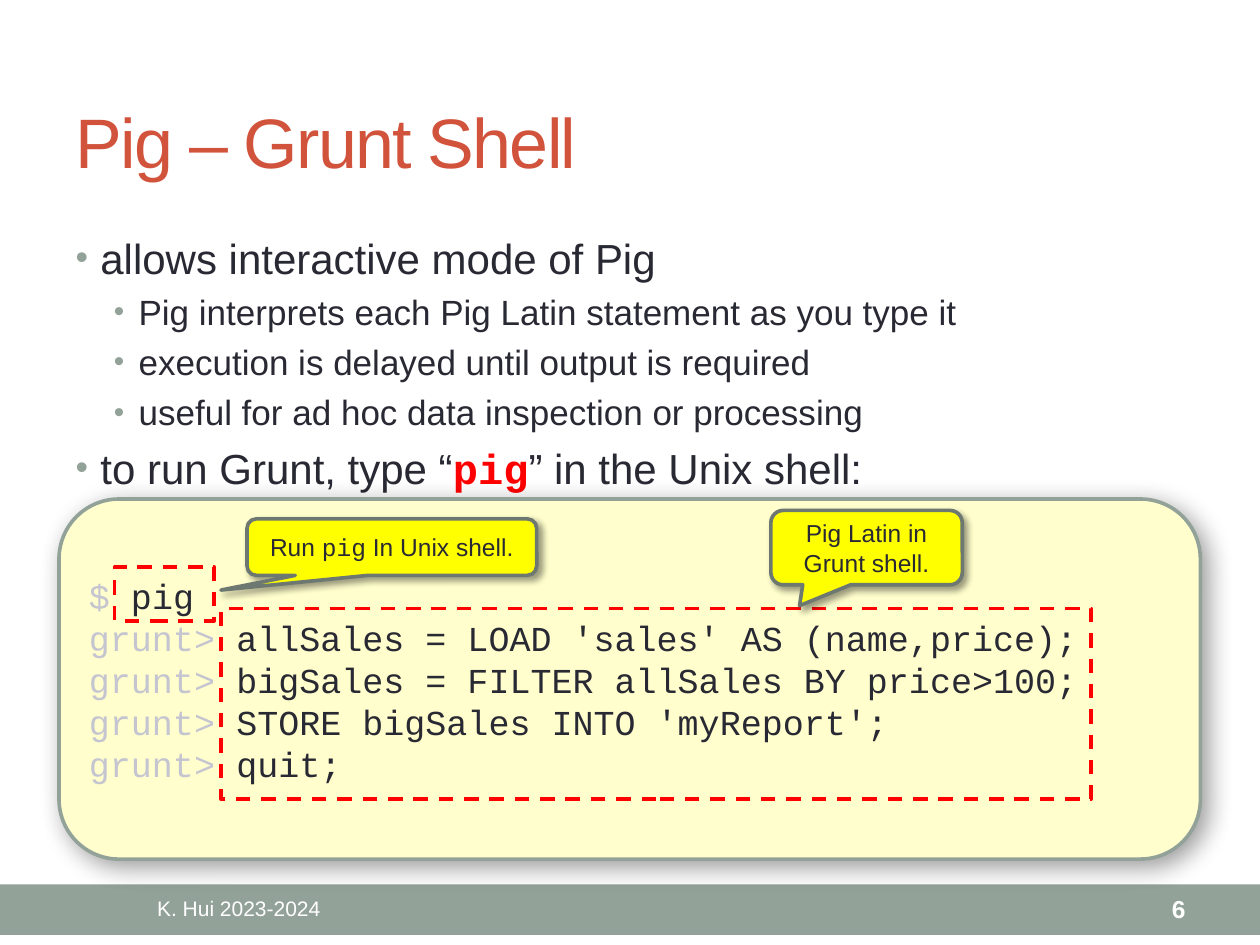
from dataclasses import dataclass
from typing import NamedTuple

from lxml import etree
from pptx import Presentation
from pptx import util as u
from pptx.dml.color import RGBColor
from pptx.enum import dml, shapes, text
from pptx.oxml import ns


@dataclass(frozen=True)
class Theme:
    sans: str = "Arial"
    mono: str = "Courier New"
    ink: str = "292934"
    accent: str = "D2533C"
    sage: str = "93A299"
    prompt: str = "C5C5D1"
    cream: str = "FFFECC"
    yellow: str = "FFFF00"
    callout_line: str = "6D7871"
    red: str = "FF0000"
    white: str = "FFFFFF"
    title_size: int = 40
    body_size: int = 24
    sub_size: int = 20
    note_size: int = 14
    footer_size: int = 12
    line_width: float = 2.08


THEME = Theme()


class Box(NamedTuple):
    left: float
    top: float
    width: float
    height: float

    def inner(self, left, top, width, height):
        return Box(self.left + left, self.top + top, width, height)

    def lengths(self):
        return [u.Cm(value) for value in self]


def add_xml(parent, tag, **attributes):
    child = etree.SubElement(parent, ns.qn(tag))
    for name, value in attributes.items():
        child.set(name, str(value))
    return child


def style_font(font, size, color, name=THEME.sans, bold=False):
    font.size = u.Pt(size)
    font.name = name
    font.bold = bold
    font.color.rgb = RGBColor.from_string(color)


def write_runs(paragraph, runs, size):
    for wording, color, name, bold in runs:
        run = paragraph.add_run()
        run.text = wording
        style_font(run.font, size, color, name, bold)


def paint(shape, fill, line):
    shape.shadow.inherit = False
    if fill:
        shape.fill.solid()
        shape.fill.fore_color.rgb = RGBColor.from_string(fill)
    else:
        shape.fill.background()
    if line:
        shape.line.color.rgb = RGBColor.from_string(line)
        shape.line.width = u.Pt(THEME.line_width)
    else:
        shape.line.fill.background()


def cast_shadow(shape, blur, distance):
    effects = shape._element.spPr.find(ns.qn("a:effectLst"))
    shadow = add_xml(effects, "a:outerShdw", blurRad=u.Pt(blur), dist=u.Pt(distance),
                     dir=45 * 60000, algn="tl", rotWithShape=0)
    color = add_xml(shadow, "a:srgbClr", val="000000")
    add_xml(color, "a:alpha", val=40000)


def place(shape, box):
    shape.left, shape.top, shape.width, shape.height = box.lengths()


def title(slide, box, wording):
    heading = slide.shapes.title
    place(heading, box)
    frame = heading.text_frame
    frame.text = wording
    frame.auto_size = text.MSO_AUTO_SIZE.NONE
    frame.vertical_anchor = text.MSO_ANCHOR.MIDDLE
    paragraph = frame.paragraphs[0]
    paragraph.alignment = text.PP_ALIGN.LEFT
    style_font(paragraph.font, THEME.title_size, THEME.accent)
    paragraph.runs[0].font._element.set("spc", "-100")


def add_bullet(paragraph, indent):
    properties = paragraph._p.get_or_add_pPr()
    properties.set("marL", str(u.Cm(indent)))
    properties.set("indent", str(u.Cm(-0.5)))
    color = add_xml(properties, "a:buClr")
    add_xml(color, "a:srgbClr", val=THEME.sage)
    add_xml(properties, "a:buSzPct", val=85000)
    add_xml(properties, "a:buFont", typeface=THEME.sans)
    add_xml(properties, "a:buChar", char="•")


def bullet_list(slide, box, items):
    body = slide.placeholders[1]
    place(body, box)
    frame = body.text_frame
    frame.auto_size = text.MSO_AUTO_SIZE.NONE
    frame.vertical_anchor = text.MSO_ANCHOR.TOP
    frame.margin_top = u.Cm(0.23)
    for index, (level, content) in enumerate(items):
        paragraph = frame.add_paragraph() if index else frame.paragraphs[0]
        size = THEME.sub_size if level else THEME.body_size
        paragraph.level = level
        add_bullet(paragraph, 1.27 if level else 0.5)
        paragraph.space_before = u.Pt(0.23 * size if index else 0)
        if isinstance(content, str):
            paragraph.text = content
            style_font(paragraph.font, size, THEME.ink)
        else:
            write_runs(paragraph, content, size)


def shell_panel(slide, box, lines):
    panel = slide.shapes.add_shape(shapes.MSO_SHAPE.ROUNDED_RECTANGLE, *box.lengths())
    paint(panel, THEME.cream, THEME.sage)
    cast_shadow(panel, 15, 5)
    frame = panel.text_frame
    frame.vertical_anchor = text.MSO_ANCHOR.MIDDLE
    for index, (prompt, command) in enumerate(lines):
        paragraph = frame.add_paragraph() if index else frame.paragraphs[0]
        paragraph.alignment = text.PP_ALIGN.LEFT
        write_runs(paragraph, [(prompt, THEME.prompt, THEME.mono, False),
                               (command, THEME.ink, THEME.mono, False)], THEME.sub_size)


def annotation(slide, frame_box, callout_box, tail, runs):
    group = slide.shapes.add_group_shape()
    outline = group.shapes.add_shape(shapes.MSO_SHAPE.RECTANGLE, *frame_box.lengths())
    paint(outline, None, THEME.red)
    outline.line.dash_style = dml.MSO_LINE.DASH
    callout = group.shapes.add_shape(shapes.MSO_SHAPE.ROUNDED_RECTANGULAR_CALLOUT,
                                     *callout_box.lengths())
    callout.adjustments[0], callout.adjustments[1] = tail
    paint(callout, THEME.yellow, THEME.callout_line)
    cast_shadow(callout, 4, 3)
    callout.text_frame.vertical_anchor = text.MSO_ANCHOR.MIDDLE
    paragraph = callout.text_frame.paragraphs[0]
    paragraph.alignment = text.PP_ALIGN.CENTER
    write_runs(paragraph, [(wording, THEME.ink, name, False) for wording, name in runs],
               THEME.note_size)


def footer(slide, box, author, number):
    bar = slide.shapes.add_shape(shapes.MSO_SHAPE.RECTANGLE, *box.lengths())
    paint(bar, THEME.sage, None)
    for wording, left, width, alignment, size, bold in (
        (author, 1.27, 7.09, text.PP_ALIGN.CENTER, THEME.footer_size, False),
        (number, 21.18, 2.97, text.PP_ALIGN.RIGHT, THEME.note_size, True),
    ):
        label = slide.shapes.add_textbox(*box.inner(left, 0.03, width, 0.91).lengths())
        frame = label.text_frame
        frame.word_wrap = True
        frame.vertical_anchor = text.MSO_ANCHOR.MIDDLE
        paragraph = frame.paragraphs[0]
        paragraph.text = wording
        paragraph.alignment = alignment
        style_font(paragraph.font, size, THEME.white, bold=bold)


def grunt_slide(deck):
    slide = deck.slides.add_slide(deck.slide_layouts[1])
    footer(slide, Box(0, 17.83, 25.4, 1.02), "K. Hui 2023-2024", "6")
    title(slide, Box(1.27, 1.47, 22.86, 2.74), "Pig – Grunt Shell")
    bullet_list(slide, Box(1.27, 4.45, 22.86, 6.17), [
        (0, "allows interactive mode of Pig"),
        (1, "Pig interprets each Pig Latin statement as you type it"),
        (1, "execution is delayed until output is required"),
        (1, "useful for ad hoc data inspection or processing"),
        (0, [("to run Grunt, type “", THEME.ink, THEME.sans, False),
             ("pig", THEME.red, THEME.mono, True),
             ("” in the Unix shell:", THEME.ink, THEME.sans, False)]),
    ])
    panel = Box(1.19, 10.06, 23.01, 7.26)
    statements = ("allSales = LOAD 'sales' AS (name,price);",
                  "bigSales = FILTER allSales BY price>100;",
                  "STORE bigSales INTO 'myReport';", "quit;")
    shell_panel(slide, panel, [("$", " pig")] + [("grunt> ", line) for line in statements])
    annotation(slide, panel.inner(3.26, 2.21, 17.55, 3.84),
               panel.inner(14.35, 0.23, 3.86, 1.5), (-0.35, 0.78),
               [("Pig Latin in Grunt shell.", THEME.sans)])
    annotation(slide, panel.inner(1.12, 1.37, 2.01, 1.09),
               panel.inner(3.79, 0.4, 5.84, 1.14), (-0.59, 0.76),
               [("Run ", THEME.sans), ("pig", THEME.mono), (" In Unix shell.", THEME.sans)])


def main():
    deck = Presentation()
    deck.slide_width, deck.slide_height = u.Cm(25.4), u.Cm(19.05)
    grunt_slide(deck)
    deck.save("out.pptx")


if __name__ == "__main__":
    main()
